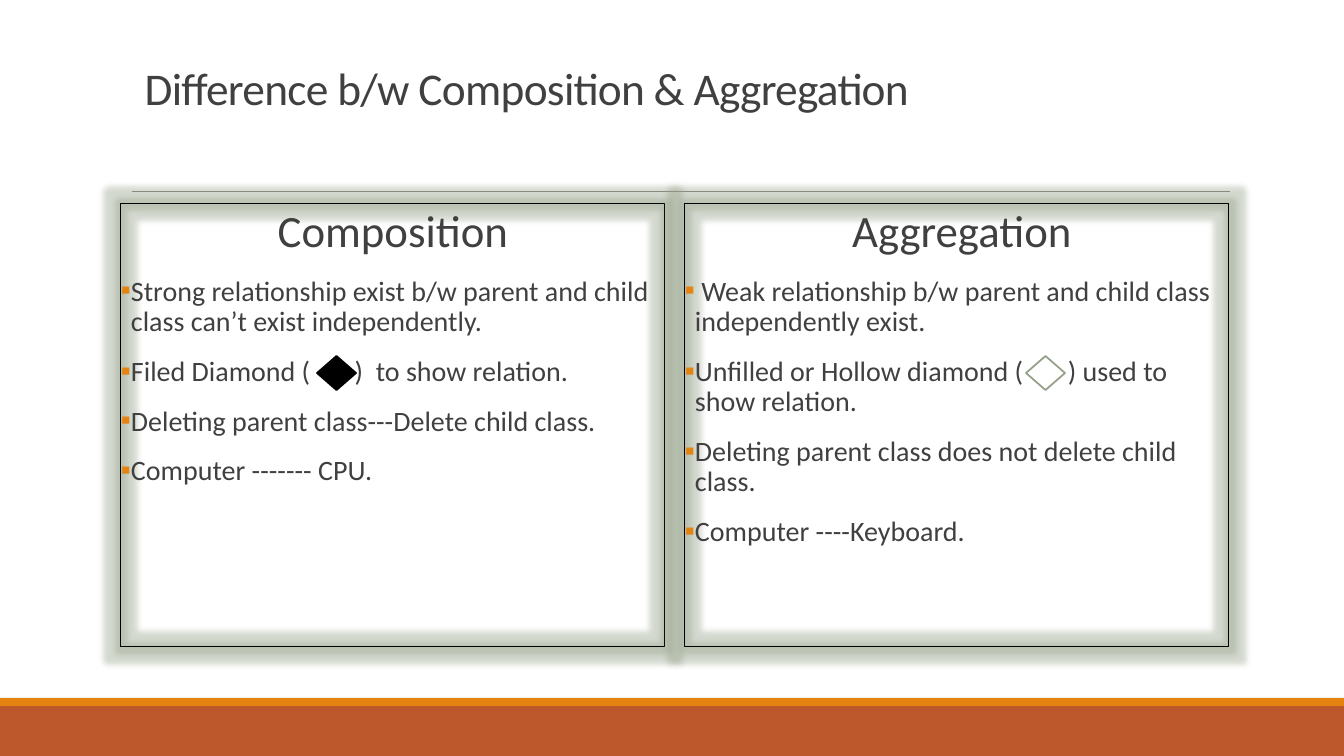
"""Build a slide that compares composition with aggregation in two framed panels."""
from lxml.etree import SubElement
from pptx import Presentation
from pptx.dml.color import RGBColor
from pptx.enum.shapes import MSO_CONNECTOR as Connector, MSO_SHAPE as Shape
from pptx.enum.text import MSO_ANCHOR as Anchor, PP_ALIGN as Align
from pptx.oxml.ns import qn
from pptx.util import Emu, Pt

THEME = {
    "font": "Calibri", "text": "404040", "accent": "E48312", "footer": "BD582C",
    "rule": "808080", "frame": "000000", "sage": "94A088", "white": "FFFFFF",
    "indent_size": 43.2, "title_size": 32.4, "heading_size": 32, "body_size": 20,
}
EMU_PER_PX = 914400 / 100.8
WIDE_GAP, SMALL_GAP = 27, 4.5


def px(count):
    return Emu(round(count * EMU_PER_PX))


def add_span(para, text, size, spacing=0):
    span = para.add_run()
    span.text = text
    span.font.name = THEME["font"]
    span.font.size = Pt(size)
    span.font.color.rgb = RGBColor.from_string(THEME["text"])
    if spacing:
        span.font._element.set("spc", str(round(spacing * 100)))


deck = Presentation()
deck.slide_width, deck.slide_height = px(1344), px(756)
page = deck.slides.add_slide(deck.slide_layouts[6])

for top, height, color in [(706, 50, "footer"), (698, 8, "accent")]:
    band = page.shapes.add_shape(Shape.RECTANGLE, 0, px(top), px(1344), px(height))
    band.shadow.inherit = False
    band.fill.solid()
    band.fill.fore_color.rgb = RGBColor.from_string(THEME[color])
    band.line.fill.background()

rule = page.shapes.add_connector(Connector.STRAIGHT, px(132), px(191), px(1230), px(191))
rule.line.color.rgb = RGBColor.from_string(THEME["rule"])
rule.line.width = Pt(0.5)
SubElement(rule._element.spPr, qn("a:effectLst"))

title = page.shapes.add_textbox(px(121), px(47), px(1109), px(76)).text_frame
title.word_wrap = True
title.vertical_anchor = Anchor.BOTTOM
para = title.paragraphs[0]
para.line_spacing = 0.85
add_span(para, " ", THEME["indent_size"], -0.5)
add_span(para, "Difference b/w Composition & Aggregation", THEME["title_size"], -0.5)

panels = [
    (121, "Composition", 0, [
        [("Strong relationship exist b/w parent and child class can’t exist independently.", 0)],
        [("Filed Diamond (", 0), (" ", WIDE_GAP), (")", 0), (" ", SMALL_GAP),
         ("to show relation.", 0)],
        [("Deleting parent class---Delete child class.", 0)],
        [("Computer ------- CPU.", 0)],
    ]),
    (685, "Aggregation", 10, [
        [(" Weak relationship b/w parent and child class independently exist.", 0)],
        [("Unfilled or Hollow diamond (", 0), (" ", WIDE_GAP),
         (") used to show relation.", 0)],
        [("Deleting parent class does not delete child class.", 0)],
        [("Computer ----Keyboard.", 0)],
    ]),
]
for left, heading, heading_indent, points in panels:
    panel = page.shapes.add_shape(Shape.RECTANGLE, px(left), px(204), px(544), px(443))
    panel.fill.background()
    panel.line.color.rgb = RGBColor.from_string(THEME["frame"])
    panel.line.width = Pt(0.75)
    panel.shadow.inherit = False
    effects = panel._element.spPr.find(qn("a:effectLst"))
    glow = SubElement(effects, qn("a:glow"), rad=str(px(11)))
    tint = SubElement(glow, qn("a:srgbClr"), val=THEME["sage"])
    SubElement(tint, qn("a:alpha"), val="40000")

    frame = panel.text_frame
    frame.word_wrap = True
    frame.vertical_anchor = Anchor.TOP
    frame.margin_left = frame.margin_right = 0
    frame.margin_top = frame.margin_bottom = px(5)
    para = frame.paragraphs[0]
    para.alignment = Align.CENTER
    para._p.get_or_add_pPr().set("marL", str(px(heading_indent)))
    add_span(para, heading, THEME["heading_size"])
    for point in points:
        para = frame.add_paragraph()
        para.alignment = Align.LEFT
        for text, spacing in point:
            add_span(para, text, THEME["body_size"], spacing)
    for index, para in enumerate(frame.paragraphs):
        para.line_spacing = 0.9
        para.space_before, para.space_after = Pt(12), Pt(2)
        if index:
            props = para._p.get_or_add_pPr()
            props.set("marL", str(px(10)))
            props.set("indent", str(-px(10)))
            bullet_color = SubElement(props, qn("a:buClr"))
            SubElement(bullet_color, qn("a:srgbClr"), val=THEME["accent"])
            SubElement(props, qn("a:buFont"), typeface=THEME["font"])
            SubElement(props, qn("a:buChar"), char="▪")

for left, fill, line in [(1026, "white", "sage"), (317, "frame", "frame")]:
    diamond = page.shapes.add_shape(
        Shape.FLOWCHART_DECISION, px(left), px(356), px(39), px(34))
    diamond.shadow.inherit = False
    diamond.fill.solid()
    diamond.fill.fore_color.rgb = RGBColor.from_string(THEME[fill])
    diamond.line.color.rgb = RGBColor.from_string(THEME[line])
    diamond.line.width = Pt(1.25)

deck.save("out.pptx")
